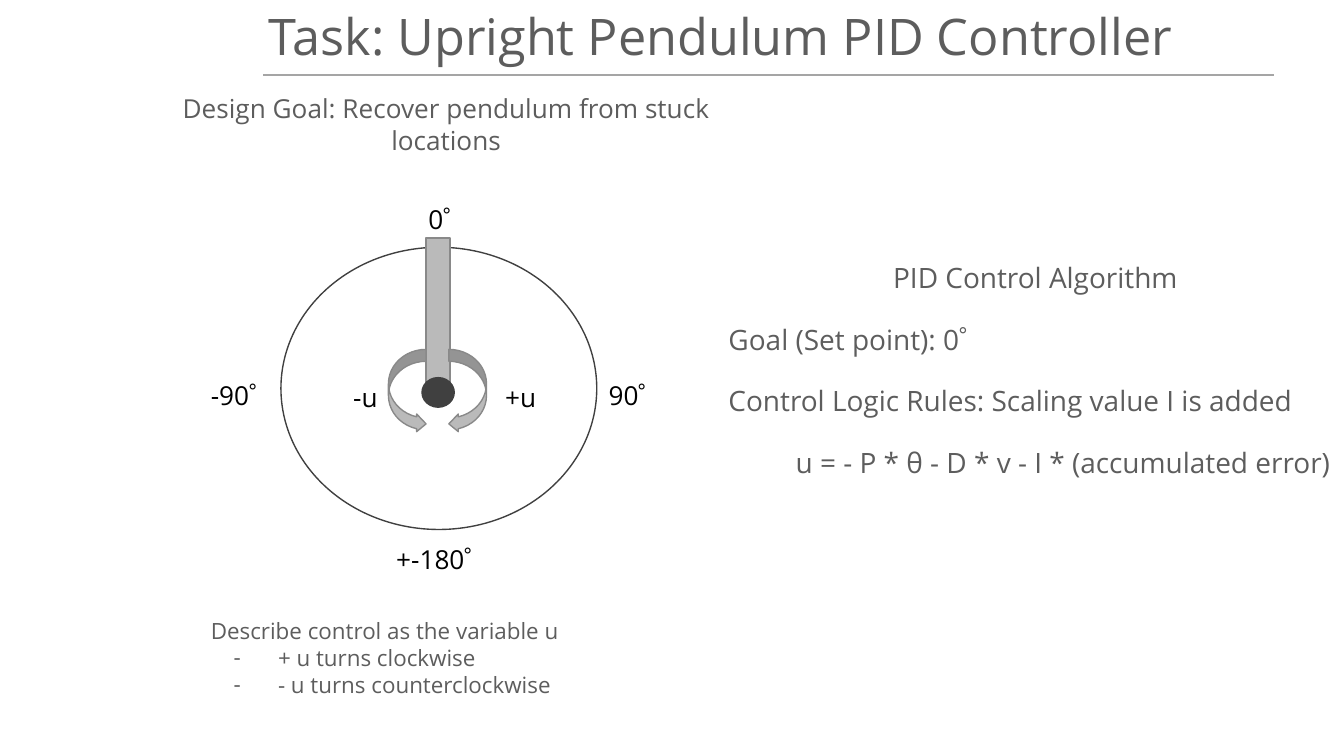
import pptx
import pptx.util
import pptx.dml.color
import pptx.enum.shapes
import pptx.enum.text
import pptx.oxml.ns
from lxml import etree

Inches = pptx.util.Inches
Pt = pptx.util.Pt
RGBColor = pptx.dml.color.RGBColor
SHAPE = pptx.enum.shapes.MSO_SHAPE
ALIGN = pptx.enum.text.PP_ALIGN
ANCHOR = pptx.enum.text.MSO_ANCHOR
qn = pptx.oxml.ns.qn

FONT = "Open Sans"
WHITE = RGBColor(0xFF, 0xFF, 0xFF)
BLACK = RGBColor(0, 0, 0)
TEXT_GRAY = RGBColor(0x5D, 0x5D, 0x5D)
RULE_GRAY = RGBColor(0xA5, 0xA5, 0xA5)
DARK = RGBColor(0x40, 0x40, 0x40)
ROD_FILL = RGBColor(0xBA, 0xBA, 0xBA)
ROD_LINE = RGBColor(0x89, 0x89, 0x89)


def add_text(page, place, lines, size, color=TEXT_GRAY, inset=0.04,
             align=ALIGN.LEFT, gap=0):
    """Add a text box with one paragraph per line, gap points apart."""
    box = page.shapes.add_textbox(*map(Inches, place))
    frame = box.text_frame
    frame.word_wrap = True
    frame.margin_left = frame.margin_right = Inches(inset)
    frame.margin_top = frame.margin_bottom = Inches(inset)
    for index, line in enumerate(lines):
        para = frame.paragraphs[0] if index == 0 else frame.add_paragraph()
        para.text = line
        para.alignment = align
        para.space_before = Pt(gap if index else 0)
        para.font.size = Pt(size)
        para.font.name = FONT
        para.font.color.rgb = color
    return frame


def set_indent(para, left, first):
    properties = para._p.get_or_add_pPr()
    properties.set("marL", str(Inches(left)))
    properties.set("indent", str(Inches(first)))
    return properties


def add_dash(para):
    """Give a paragraph a hanging dash bullet."""
    properties = set_indent(para, 0.5, -0.33)
    color = etree.Element(qn("a:buClr"))
    etree.SubElement(color, qn("a:srgbClr"), val=str(TEXT_GRAY))
    typeface = etree.Element(qn("a:buFont"), typeface=FONT)
    dash = etree.Element(qn("a:buChar"), char="-")
    for element in (color, typeface, dash):
        properties.insert_element_before(element, "a:tabLst", "a:defRPr", "a:extLst")


def add_figure(page, kind, place, fill, line):
    figure = page.shapes.add_shape(kind, *map(Inches, place))
    figure.shadow.inherit = False
    figure.fill.solid()
    figure.fill.fore_color.rgb = fill
    figure.line.color.rgb = line
    figure.line.width = Pt(0.75)
    return figure


def add_turn_arrow(page, left, flipped):
    arrow = add_figure(page, SHAPE.CURVED_RIGHT_ARROW, (left, 2.6, 0.28, 0.62),
                       ROD_FILL, ROD_LINE)
    for index, value in enumerate((0.316, 0.47, 0.25)):
        arrow.adjustments[index] = value
    if flipped:
        arrow._element.spPr.xfrm.set("flipH", "1")


def add_heading(page):
    rule = page.shapes.add_connector(
        pptx.enum.shapes.MSO_CONNECTOR.STRAIGHT,
        Inches(1.96), Inches(0.56), Inches(9.48), Inches(0.56))
    rule.line.color.rgb = RULE_GRAY
    rule.line.width = Pt(1)
    etree.SubElement(rule._element.spPr, qn("a:effectLst"))
    title = add_text(page, (1.96, 0.03, 7.51, 0.53),
                     ["Task: Upright Pendulum PID Controller"], 27)
    title.vertical_anchor = ANCHOR.MIDDLE
    title.paragraphs[0].line_spacing = 0.9


def add_explanations(page):
    add_text(page, (1.17, 0.65, 4.3, 0.44),
             ["Design Goal: Recover pendulum from stuck locations"], 14,
             align=ALIGN.CENTER)
    algorithm = add_text(page, (5.38, 1.9, 4.65, 2.37), [
        "PID Control Algorithm",
        "Goal (Set point): 0゜",
        "Control Logic Rules: Scaling value I is added",
        "u = - P * θ - D * v - I * (accumulated error)",
    ], 15, gap=15)
    algorithm.paragraphs[0].alignment = ALIGN.CENTER
    set_indent(algorithm.paragraphs[-1], 0, 0.5)
    control = add_text(page, (1.47, 4.49, 3.92, 0.81), [
        "Describe control as the variable u",
        "+ u turns clockwise",
        "- u turns counterclockwise",
    ], 12, inset=0.1)
    for para in control.paragraphs[1:]:
        add_dash(para)


def add_pendulum(page):
    add_figure(page, SHAPE.OVAL, (2.09, 1.84, 2.35, 2.1), WHITE, DARK)
    add_figure(page, SHAPE.RECTANGLE, (3.17, 1.77, 0.18, 1.18), ROD_FILL, ROD_LINE)
    add_figure(page, SHAPE.OVAL, (3.14, 2.81, 0.24, 0.22), DARK, DARK)
    labels = [
        ("0゜", 3.09, 1.41, 0.74),
        ("90゜", 4.43, 2.72, 0.74),
        ("-90゜", 1.47, 2.72, 0.74),
        ("+-180゜", 2.85, 3.94, 1.14),
        ("-u", 2.53, 2.74, 0.49),
        ("+u", 3.66, 2.74, 0.49),
    ]
    for label, left, top, width in labels:
        add_text(page, (left, top, width, 0.44), [label], 14, BLACK, inset=0.1)
    add_turn_arrow(page, 2.89, False)
    add_turn_arrow(page, 3.34, True)


def main():
    deck = pptx.Presentation()
    deck.slide_width = Inches(10)
    deck.slide_height = deck.slide_width * 9 // 16
    page = deck.slides.add_slide(deck.slide_layouts[6])
    add_heading(page)
    add_explanations(page)
    add_pendulum(page)
    deck.save("out.pptx")


if __name__ == "__main__":
    main()
